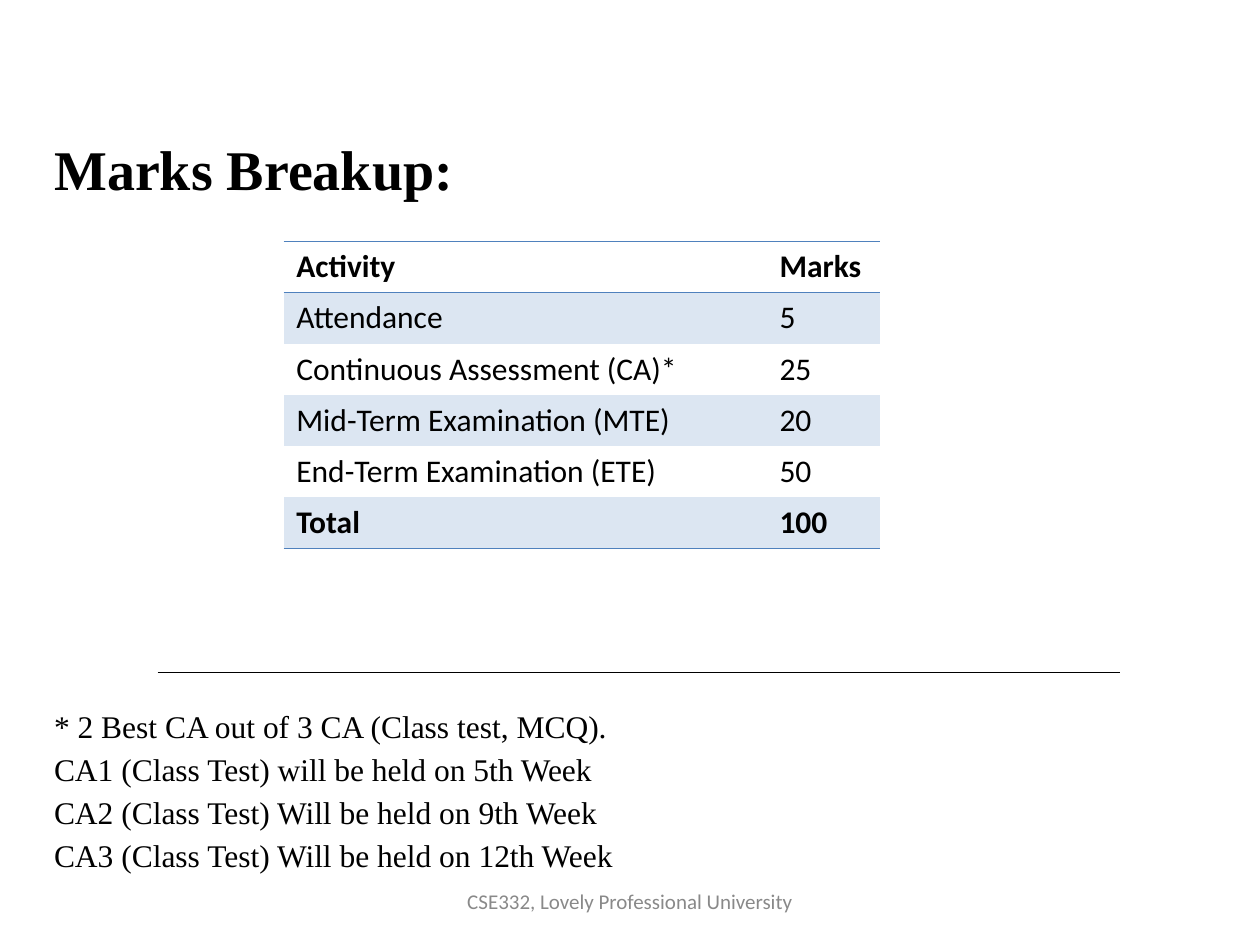
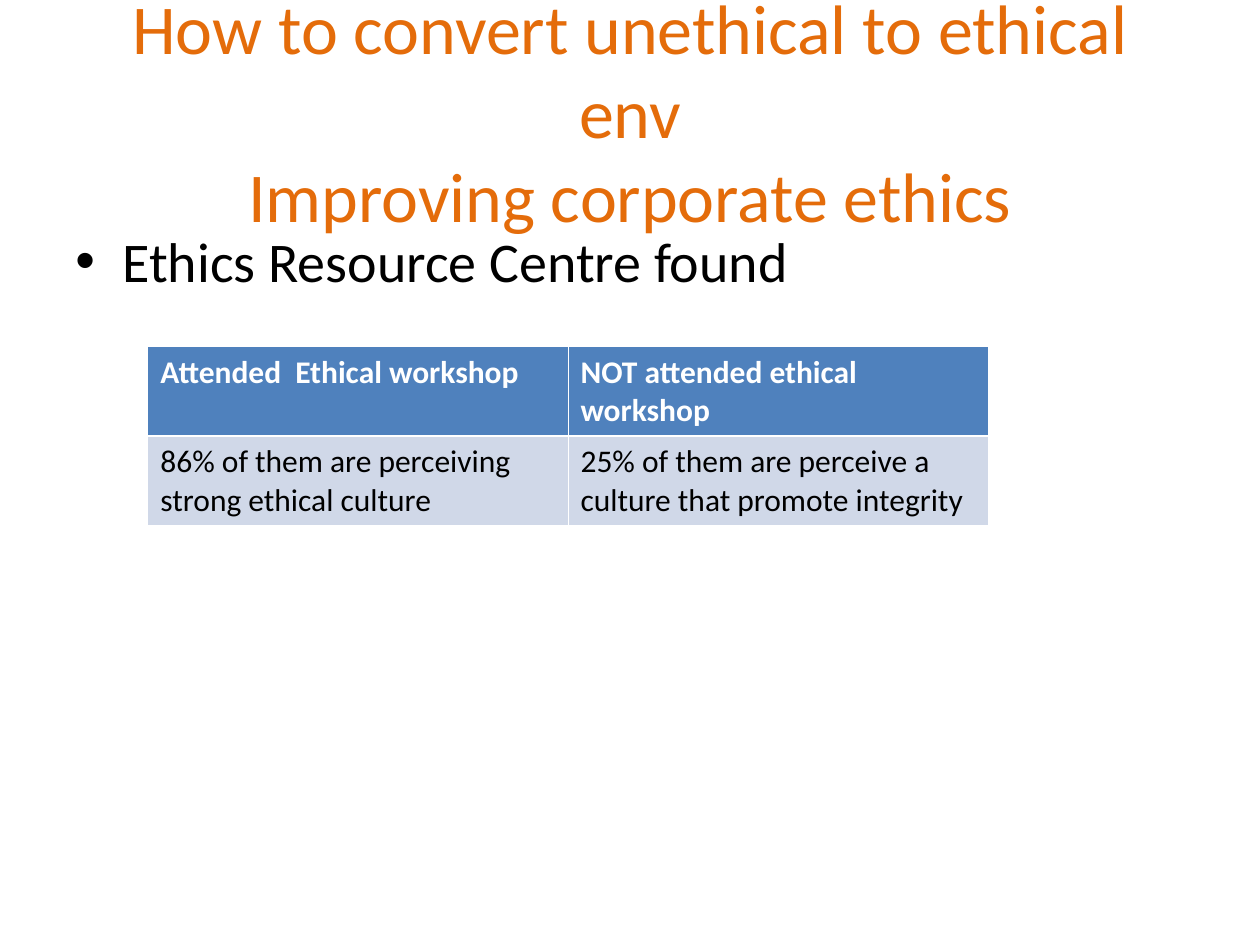
from lxml import etree
from pptx import Presentation
from pptx.dml.color import RGBColor
from pptx.enum.shapes import MSO_CONNECTOR
from pptx.enum.text import MSO_ANCHOR, MSO_AUTO_SIZE, PP_ALIGN
from pptx.oxml.ns import qn
from pptx.util import Cm, Pt

STRAIGHT = MSO_CONNECTOR.STRAIGHT
TOP, MIDDLE = MSO_ANCHOR.TOP, MSO_ANCHOR.MIDDLE
LEFT, CENTER = PP_ALIGN.LEFT, PP_ALIGN.CENTER
NO_FIT = MSO_AUTO_SIZE.NONE

BLACK, WHITE, GREY = "000000", "FFFFFF", "898989"
BLUE, PALE_BLUE, BAND, ORANGE = "4F81BD", "DCE6F2", "D0D8E8", "E46C0A"
SANS, SERIF = "Calibri", "Times New Roman"
THIN, THICK = 0.45, 1.47
BULLET_INDENT = 0.95

HEADING = {"name": SERIF, "size": Pt(32), "bold": True}
NOTE = {"name": SERIF, "size": Pt(18), "bold": False}
FOOTER = {"name": SANS, "size": Pt(12)}
TITLE = {"name": SANS, "size": Pt(40), "bold": False}
POINT = {"name": SANS, "size": Pt(32)}
CELL = {"name": SANS, "size": Pt(18), "bold": False}
STRONG_CELL = {**CELL, "bold": True}


def colour(value):
    return RGBColor.from_string(value)


def place(item, box):
    for name, length in zip(("left", "top", "width", "height"), box):
        setattr(item, name, Cm(length))


def format_para(para, font, ink, para_format=None):
    for name, value in (para_format or {}).items():
        setattr(para, name, value)
    for name, value in font.items():
        setattr(para.font, name, value)
    para.font.color.rgb = colour(ink)


def write(frame, lines, font, ink, anchor=TOP, **para_format):
    frame.word_wrap = True
    frame.auto_size = NO_FIT
    frame.vertical_anchor = anchor
    frame.text = "\n".join(lines)
    for para in frame.paragraphs:
        format_para(para, font, ink, para_format)
    frame.paragraphs[0].space_before = Pt(0)


def add_title(page, box, text, font, ink, anchor, **para_format):
    title = page.shapes.title
    place(title, box)
    write(title.text_frame, [text], font, ink, anchor, **para_format)


def add_text(page, box, lines, font, ink, anchor=TOP, **para_format):
    area = page.shapes.add_textbox(*map(Cm, box))
    write(area.text_frame, lines, font, ink, anchor, **para_format)
    return area


def add_bullet(para):
    props = para._p.get_or_add_pPr()
    props.set("marL", str(Cm(BULLET_INDENT)))
    props.set("indent", str(-Cm(BULLET_INDENT)))
    etree.SubElement(props, qn("a:buFont"), typeface="Arial")
    etree.SubElement(props, qn("a:buChar"), char="•")


def set_borders(cell, borders):
    props = cell._tc.get_or_add_tcPr()
    for index, side in enumerate("LRTB"):
        ink, width = borders.get(side, (None, 0))
        line = etree.Element(qn(f"a:ln{side}"), w=str(Pt(width)))
        if ink:
            fill = etree.SubElement(line, qn("a:solidFill"))
            etree.SubElement(fill, qn("a:srgbClr"), val=ink)
        else:
            etree.SubElement(line, qn("a:noFill"))
        props.insert(index, line)


def add_grid(page, left, top, widths, row_height, rows, style):
    frame = page.shapes.add_table(
        len(rows), len(widths), Cm(left), Cm(top),
        Cm(sum(widths)), Cm(row_height * len(rows)))
    table = frame.table
    table.first_row = table.horz_banding = False
    for column, width in zip(table.columns, widths):
        column.width = Cm(width)
    for r, texts in enumerate(rows):
        table.rows[r].height = Cm(row_height)
        font, ink, fill, borders = style(r, len(rows) - 1)
        for c, text in enumerate(texts):
            cell = table.cell(r, c)
            cell.text = text
            format_para(cell.text_frame.paragraphs[0], font, ink)
            if fill:
                cell.fill.solid()
                cell.fill.fore_color.rgb = colour(fill)
            else:
                cell.fill.background()
            set_borders(cell, borders)


def marks_style(row, last):
    borders = {}
    if row <= 1:
        borders["T"] = (BLUE, THIN)
    if row in (0, last):
        borders["B"] = (BLUE, THIN)
    font = STRONG_CELL if row in (0, last) else CELL
    return font, BLACK, PALE_BLUE if row % 2 else None, borders


def workshop_style(row, last):
    borders = dict.fromkeys("LRTB", (WHITE, THIN))
    borders["T" if row else "B"] = (WHITE, THICK)
    if row:
        return CELL, BLACK, BAND, borders
    return STRONG_CELL, WHITE, BLUE, borders


def add_rule(page, left, top, width):
    rule = page.shapes.add_connector(
        STRAIGHT, Cm(left), Cm(top), Cm(left + width), Cm(top))
    rule.line.color.rgb = colour(BLACK)
    rule.line.width = Pt(0.75)
    etree.SubElement(rule._element.spPr, qn("a:effectLst"))


def build_marks(page):
    add_title(page, (0.84, 2.74, 22.86, 1.5), "Marks Breakup:",
              HEADING, BLACK, TOP, alignment=LEFT, line_spacing=0.9)
    add_grid(page, 5.72, 4.87, (9.74, 2.27), 1.03, [
        ("Activity", "Marks"),
        ("Attendance", "5"),
        ("Continuous Assessment (CA)*", "25"),
        ("Mid-Term Examination (MTE)", "20"),
        ("End-Term Examination (ETE)", "50"),
        ("Total", "100"),
    ], marks_style)
    add_rule(page, 3.18, 13.55, 19.4)
    add_text(page, (0.84, 14.22, 22.86, 3.6), [
        "* 2 Best CA out of 3 CA (Class test, MCQ).",
        "CA1 (Class Test) will be held on 5th Week",
        "CA2 (Class Test) Will be held on 9th Week",
        "CA3 (Class Test) Will be held on 12th Week",
    ], NOTE, BLACK, line_spacing=0.9, space_before=Pt(5))
    add_text(page, (8.68, 17.66, 8.04, 1.01),
             ["CSE332, Lovely Professional University"],
             FOOTER, GREY, MIDDLE, alignment=CENTER)


def build_ethics(page):
    add_title(page, (1.27, 0.64, 22.86, 3.18),
              "How to convert unethical to ethical env\vImproving corporate ethics",
              TITLE, ORANGE, MIDDLE, alignment=CENTER)
    findings = add_text(page, (1.27, 4.45, 22.86, 1.7),
                        ["Ethics Resource Centre found"], POINT, BLACK)
    para = findings.text_frame.paragraphs[0]
    add_bullet(para)
    add_grid(page, 2.98, 6.99, (8.47, 8.47), 1.79, [
        ("Attended  Ethical workshop", "NOT attended ethical workshop"),
        ("86% of them are perceiving  strong ethical culture",
         "25% of them are perceive a culture that promote integrity"),
    ], workshop_style)


def main():
    deck = Presentation()
    deck.slide_width, deck.slide_height = Cm(25.4), Cm(19.05)
    title_only = deck.slide_layouts.get_by_name("Title Only")
    for build in (build_marks, build_ethics):
        build(deck.slides.add_slide(title_only))
    deck.save("out.pptx")


if __name__ == "__main__":
    main()
